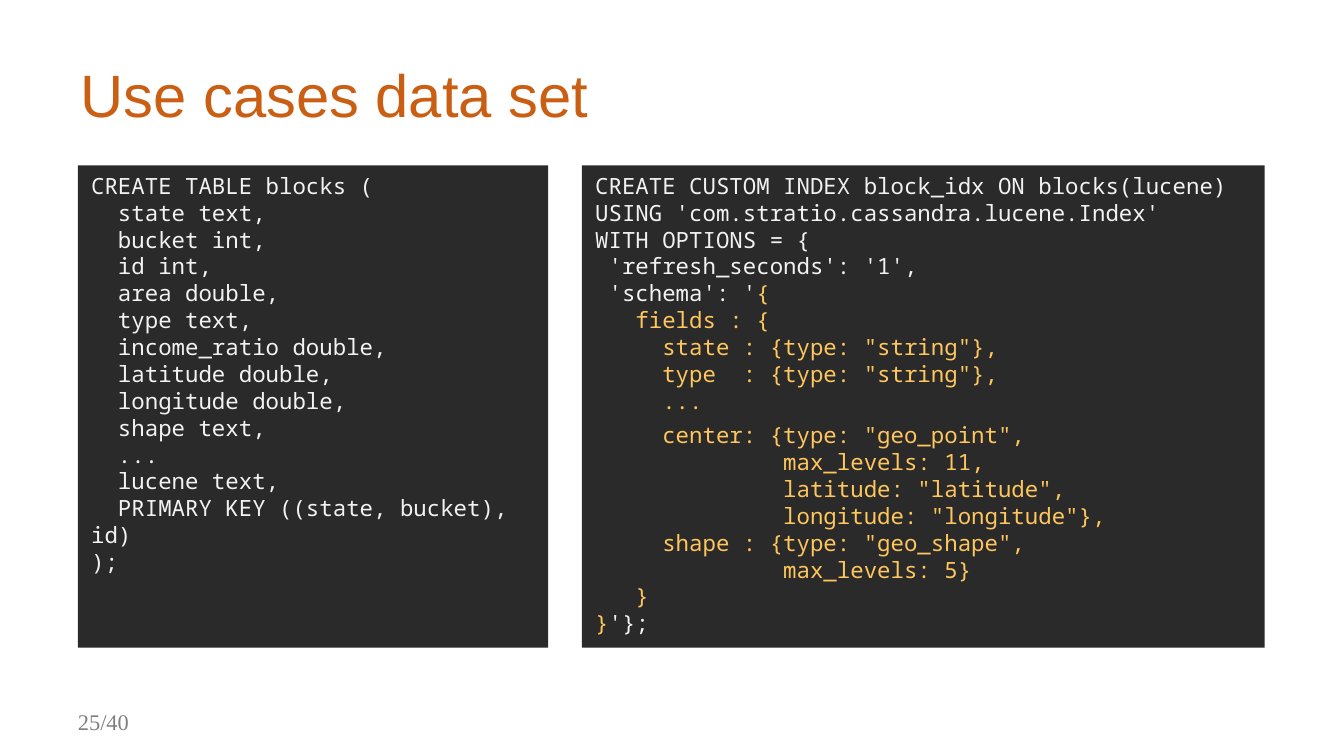
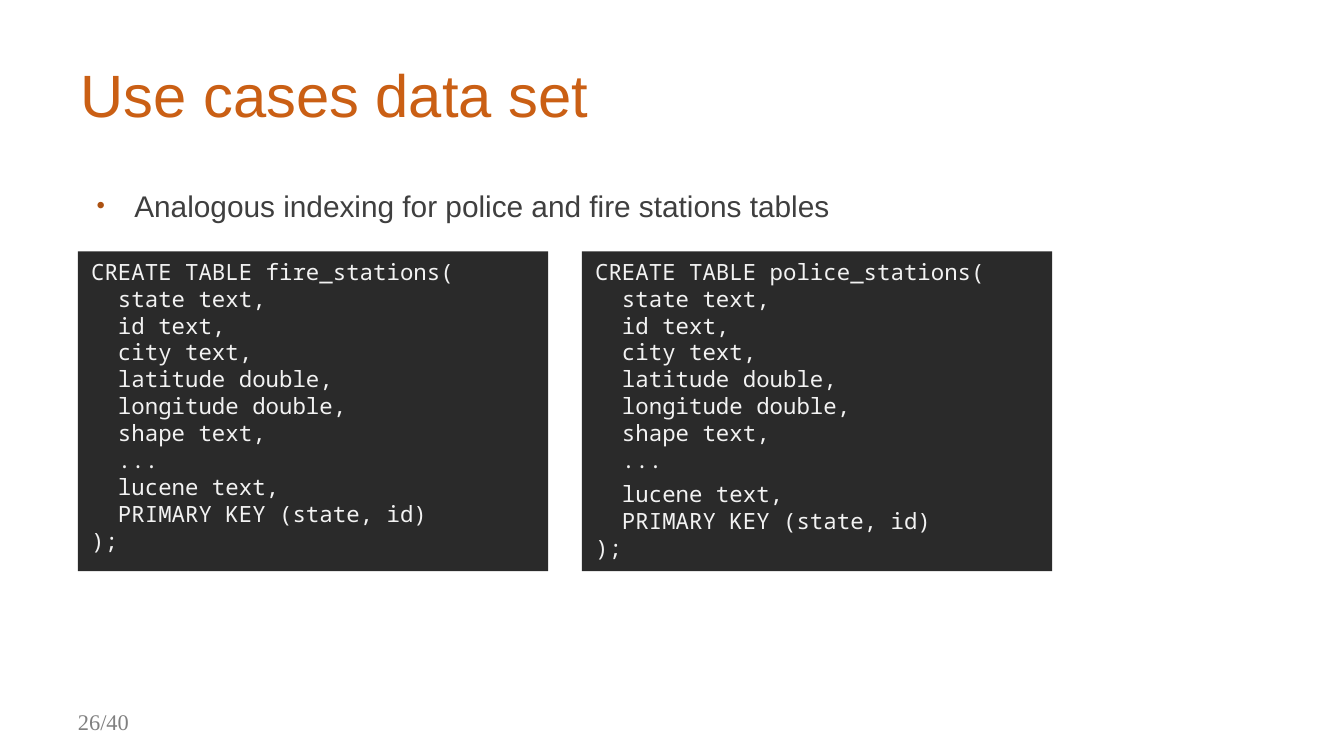
from lxml import etree
from pptx import Presentation
from pptx.dml.color import RGBColor
from pptx.enum.shapes import MSO_SHAPE
from pptx.enum.text import MSO_ANCHOR, PP_ALIGN
from pptx.oxml.ns import qn
from pptx.util import Inches, Pt

RECT = MSO_SHAPE.RECTANGLE
TOP, MIDDLE = MSO_ANCHOR.TOP, MSO_ANCHOR.MIDDLE
FLUSH = PP_ALIGN.LEFT
COLORS = {"title": "CA5F14", "panel": "2A2A2A", "code": "F2F2F2", "schema": "FFC65D",
          "page": "808080", "body": "3F3F3F", "bullet": "AC5112"}
LEFT, RIGHT = 0.58, 4.33

BLOCKS = """CREATE TABLE blocks (
  state text,
  bucket int,
  id int,
  area double,
  type text,
  income_ratio double,
  latitude double,
  longitude double,
  shape text,
  ...
  lucene text,
  PRIMARY KEY ((state, bucket), id)
);"""

# A bar switches between the code colour and the schema colour.
INDEX = """CREATE CUSTOM INDEX block_idx ON blocks(lucene)
USING 'com.stratio.cassandra.lucene.Index'
WITH OPTIONS = {
 'refresh_seconds': '1',
 'schema': '|{
   fields : {
     state : {type: "string"},
     type  : {type: "string"},
     ...
     center: {type: "geo_point",
              max_levels: 11,
              latitude: "latitude",
              longitude: "longitude"},
     shape : {type: "geo_shape",
              max_levels: 5}
   }
}|'};"""

STATIONS = """CREATE TABLE %s_stations(
  state text,
  id text,
  city text,
  latitude double,
  longitude double,
  shape text,
  ...
  lucene text,
  PRIMARY KEY (state, id)
);"""


def label(slide, box, text, font, size, color, insets=(0.1, 0.05, 0.1, 0.05), anchor=TOP):
    """Add a one-line text box and return its paragraph."""
    frame = slide.shapes.add_textbox(*map(Inches, box)).text_frame
    frame.word_wrap = True
    frame.vertical_anchor = anchor
    frame.margin_left, frame.margin_top, frame.margin_right, frame.margin_bottom = map(Inches, insets)
    frame.text = text
    style = frame.paragraphs[0].runs[0].font
    style.name, style.size = font, Pt(size)
    style.color.rgb = RGBColor.from_string(COLORS[color])
    return frame.paragraphs[0]


def panel(slide, box, code, gap=0):
    """Add a dark code box, with a gap in points after the dots."""
    shape = slide.shapes.add_shape(RECT, *map(Inches, box))
    shape.shadow.inherit = False
    shape.fill.solid()
    shape.fill.fore_color.rgb = RGBColor.from_string(COLORS["panel"])
    shape.line.fill.background()
    frame = shape.text_frame
    frame.word_wrap = True
    frame.vertical_anchor = TOP
    frame.margin_right = Inches(0.12)
    frame.text = code.replace("|", "")
    color, other = "code", "schema"
    for para, line in zip(frame.paragraphs, code.split("\n")):
        para.alignment = FLUSH
        para.line_spacing = Pt(14.4)
        if gap and line.strip() == "...":
            para.space_after = Pt(gap)
        for i, part in enumerate(line.split("|")):
            if i:
                color, other = other, color
            run = para.add_run() if i else para.runs[0]
            run.text = part
            run.font.name, run.font.size = "Noto Sans Mono", Pt(12)
            run.font.color.rgb = RGBColor.from_string(COLORS[color])


deck = Presentation()
deck.slide_width = Inches(10)
deck.slide_height = deck.slide_width * 9 // 16
slides = []
for page in (25, 26):
    slide = deck.slides.add_slide(deck.slide_layouts[6])
    label(slide, (0.5, 0.23, 9, 0.94), "Use cases data set", "Arial", 32, "title", anchor=MIDDLE)
    label(slide, (LEFT, 5.22, 0.72, 0.3), f"{page}/40", "Times New Roman", 12, "page",
          insets=(0, 0.05, 0.1, 0.05))
    slides.append(slide)
tables, stations = slides

# Block table and its index
panel(tables, (LEFT, 1.23, 3.5, 3.59), BLOCKS)
panel(tables, (RIGHT, 1.23, 5.08, 3.59), INDEX, gap=4)

# Station tables
for left, kind, gap in ((LEFT, "fire", 0), (RIGHT, "police", 4)):
    panel(stations, (left, 1.87, 3.5, 2.38), STATIONS % kind, gap)

point = label(stations, (0.65, 1.3, 8.1, 0.43),
              "Analogous indexing for police and fire stations tables",
              "Arial", 16, "body", insets=(0.07, 0.04, 0.07, 0.04))
props = point._p.get_or_add_pPr()
props.set("marL", str(Inches(0.28)))
props.set("indent", str(-Inches(0.28)))
tint = etree.SubElement(props, qn("a:buClr"))
etree.SubElement(tint, qn("a:srgbClr"), val=COLORS["bullet"])
etree.SubElement(props, qn("a:buSzPct"), val="80000")
etree.SubElement(props, qn("a:buFont"), typeface="Arial")
etree.SubElement(props, qn("a:buChar"), char="•")
point.line_spacing = 1.2

deck.save("out.pptx")
